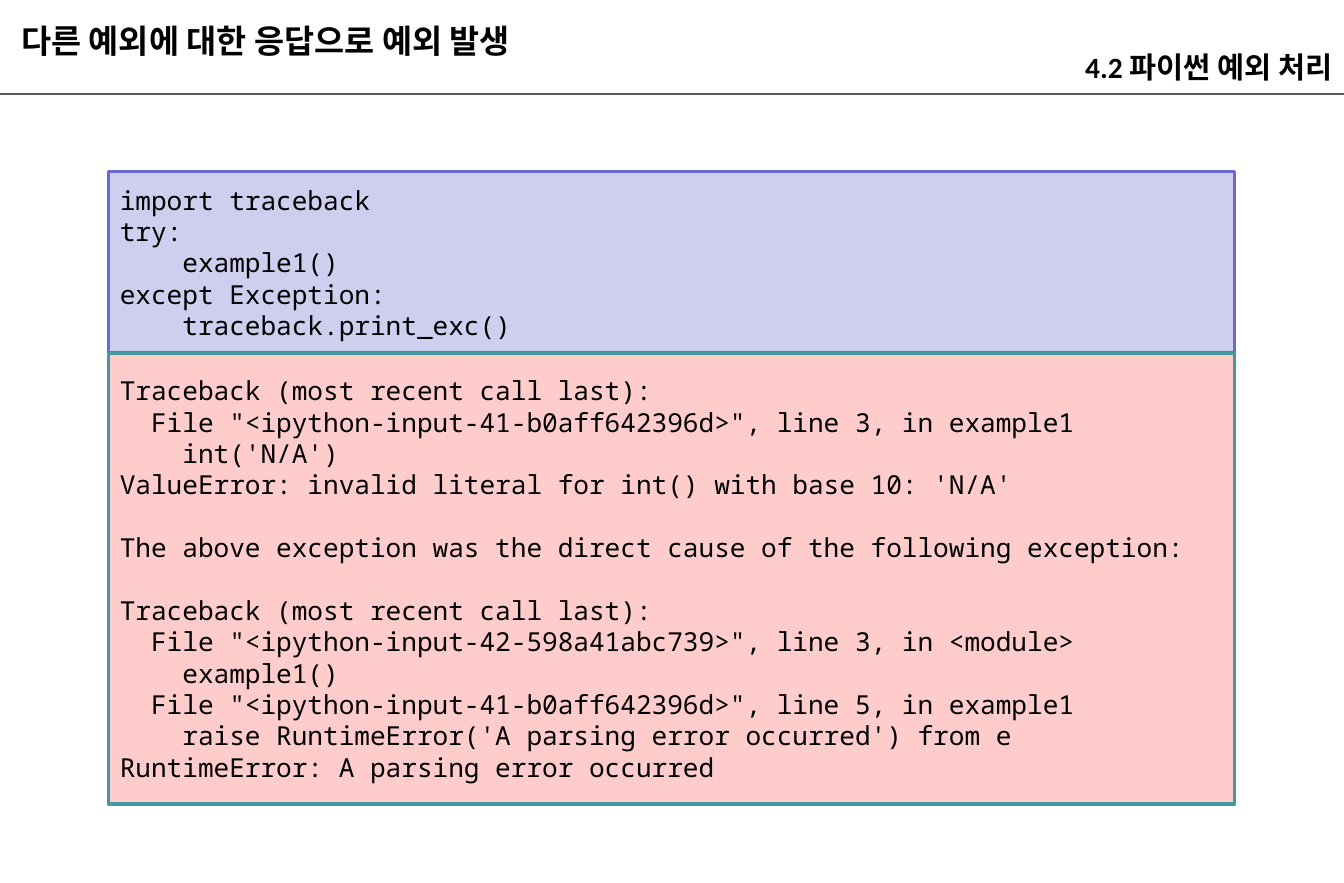
import pptx
import pptx.util
import pptx.dml.color
import pptx.enum.shapes
import pptx.enum.text

Inches = pptx.util.Inches
Pt = pptx.util.Pt
ALIGN = pptx.enum.text.PP_ALIGN
ANCHOR = pptx.enum.text.MSO_ANCHOR

PAGE_WIDTH = 11.42
HEADING = {"name": "Calibri", "bold": True}
CODE = {"name": "Noto Sans Mono", "size": Pt(16), "bold": False}
CODE_LINE = Pt(19.2)

SOURCE_CODE = """import traceback
try:
    example1()
except Exception:
    traceback.print_exc()"""

TRACEBACK = """Traceback (most recent call last):
  File "<ipython-input-41-b0aff642396d>", line 3, in example1
    int('N/A')
ValueError: invalid literal for int() with base 10: 'N/A'

The above exception was the direct cause of the following exception:

Traceback (most recent call last):
  File "<ipython-input-42-598a41abc739>", line 3, in <module>
    example1()
  File "<ipython-input-41-b0aff642396d>", line 5, in example1
    raise RuntimeError('A parsing error occurred') from e
RuntimeError: A parsing error occurred"""


def color(value):
    return pptx.dml.color.RGBColor.from_string(value)


def apply_format(target, values):
    for name, value in values.items():
        setattr(target, name, value)


def write_line(para, text, font_values):
    span = para.add_run()
    span.text = text
    apply_format(span.font, font_values)
    span.font.color.rgb = color("000000")


def place(shape, box):
    for name, value in zip(("left", "top", "width", "height"), box):
        setattr(shape, name, Inches(value))


def write_heading(shape, box, text, size, alignment):
    place(shape, box)
    apply_format(shape.text_frame, {
        "word_wrap": True,
        "auto_size": pptx.enum.text.MSO_AUTO_SIZE.NONE,
        "vertical_anchor": ANCHOR.BOTTOM,
        "margin_left": Inches(0.1),
        "margin_right": Inches(0.1),
        "margin_top": Inches(0.02),
        "margin_bottom": Inches(0.02),
    })
    para = shape.text_frame.paragraphs[0]
    para.alignment = alignment
    write_line(para, text, {**HEADING, "size": Pt(size)})


def add_header(page, box):
    left, top, width, height = box
    rule = page.shapes.add_connector(
        pptx.enum.shapes.MSO_CONNECTOR.STRAIGHT,
        Inches(left), Inches(top + height),
        Inches(left + width), Inches(top + height))
    rule.line.color.rgb = color("595959")
    rule.line.width = Pt(1.5)
    properties = rule.element.spPr
    properties.append(properties.makeelement(
        pptx.oxml.ns.qn("a:effectLst"), {}))

    write_heading(page.shapes.title, (left + 0.08, top + 0.09, 6.49, 0.44),
                  "다른 예외에 대한 응답으로 예외 발생", 20, ALIGN.LEFT)
    section = page.shapes.add_textbox(0, 0, 0, 0)
    write_heading(section, (left + width - 5.31, top + 0.3, 5.31, 0.44),
                  "4.2 파이썬 예외 처리", 18, ALIGN.RIGHT)


def add_code_panel(page, box, text, fill, outline):
    panel = page.shapes.add_shape(
        pptx.enum.shapes.MSO_SHAPE.RECTANGLE, 0, 0, 0, 0)
    place(panel, box)
    panel.shadow.inherit = False
    panel.fill.solid()
    panel.fill.fore_color.rgb = color(fill)
    panel.line.color.rgb = color(outline)
    panel.line.width = Pt(2)
    frame = panel.text_frame
    apply_format(frame, {"word_wrap": True, "vertical_anchor": ANCHOR.MIDDLE})
    para = None
    for block_index, block in enumerate(text.split("\n\n")):
        for line_index, line in enumerate(block.split("\n")):
            para = frame.add_paragraph() if para else frame.paragraphs[0]
            apply_format(para, {"alignment": ALIGN.LEFT,
                                "line_spacing": CODE_LINE})
            if block_index and line_index == 0:
                para.space_before = CODE_LINE
            write_line(para, line, CODE)


def build_slide(deck):
    page = deck.slides.add_slide(deck.slide_layouts[5])
    add_header(page, (0, 0, PAGE_WIDTH, 0.8))
    left, width = 0.92, 9.57
    add_code_panel(page, (left, 1.46, width, 1.54),
                   SOURCE_CODE, "CECEEF", "6B6BCF")
    add_code_panel(page, (left, 3, width, 3.83),
                   TRACEBACK, "FFCCCC", "4597A0")


def main():
    deck = pptx.Presentation()
    deck.slide_width = Inches(PAGE_WIDTH)
    deck.slide_height = Inches(7.5)
    build_slide(deck)
    deck.save("out.pptx")


if __name__ == "__main__":
    main()
